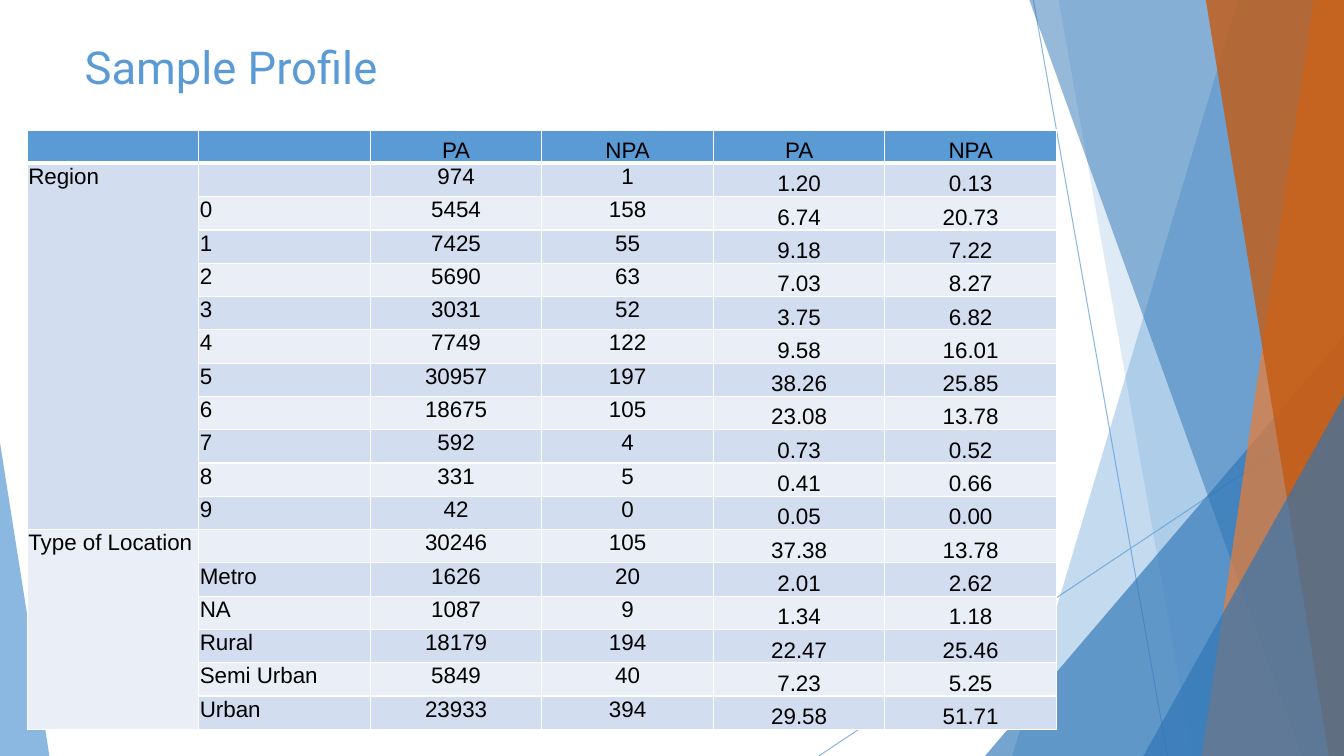
from lxml import etree
from pptx import Presentation, util as u
from pptx.dml.color import RGBColor
from pptx.enum import shapes, text
from pptx.oxml import ns

BLUE, DEEP, ORANGE, RUST = "5B9BD5", "2E75B6", "ED7D31", "C55A11"
WHITE, BLACK = "FFFFFF", "000000"
BANDS = ("D2DEEF", "EAEFF7")

HEADER = ("", "", "PA", "NPA", "PA", "NPA")
GROUPS = {
    "Region": (
        ("", "974", "1", "1.20", "0.13"),
        ("0", "5454", "158", "6.74", "20.73"),
        ("1", "7425", "55", "9.18", "7.22"),
        ("2", "5690", "63", "7.03", "8.27"),
        ("3", "3031", "52", "3.75", "6.82"),
        ("4", "7749", "122", "9.58", "16.01"),
        ("5", "30957", "197", "38.26", "25.85"),
        ("6", "18675", "105", "23.08", "13.78"),
        ("7", "592", "4", "0.73", "0.52"),
        ("8", "331", "5", "0.41", "0.66"),
        ("9", "42", "0", "0.05", "0.00"),
    ),
    "Type of Location": (
        ("", "30246", "105", "37.38", "13.78"),
        ("Metro", "1626", "20", "2.01", "2.62"),
        ("NA", "1087", "9", "1.34", "1.18"),
        ("Rural", "18179", "194", "22.47", "25.46"),
        ("Semi Urban", "5849", "40", "7.23", "5.25"),
        ("Urban", "23933", "394", "29.58", "51.71"),
    ),
}


def color(value):
    return RGBColor.from_string(value)


def share(box, x, y, w, h):
    left, top, width, height = box
    return (left + int(width * x / 100), top + int(height * y / 100),
            int(width * w / 100), int(height * h / 100))


def set_opacity(sp, percent):
    for clr in sp._element.xpath(".//a:srgbClr"):
        etree.SubElement(clr, ns.qn("a:alpha"), val=str(percent * 1000))


def paint(sp, fill, opacity):
    sp.shadow.inherit = False
    sp.fill.solid()
    sp.fill.fore_color.rgb = color(fill)
    sp.line.fill.background()
    set_opacity(sp, opacity)


def add_ray(s, box, x1, y1, x2, y2):
    start, end = share(box, x1, y1, 0, 0), share(box, x2, y2, 0, 0)
    ray = s.shapes.add_connector(shapes.MSO_CONNECTOR.STRAIGHT, *start[:2], *end[:2])
    ray.line.color.rgb = color(BLUE)
    ray.line.width = u.Pt(0.75)
    set_opacity(ray, 70)
    etree.SubElement(ray._element.spPr, ns.qn("a:effectLst"))


def add_blade(s, box, top_x, bottom_x, fill, opacity):
    corners = [share(box, x, y, 0, 0)[:2]
               for x, y in ((top_x, 0), (100, 0), (100, 100), (bottom_x, 100))]
    builder = s.shapes.build_freeform(*corners[0])
    builder.add_line_segments(corners[1:], close=True)
    paint(builder.convert_to_shape(), fill, opacity)


def add_wedge(s, box, area, peak, fill, opacity):
    sp = s.shapes.add_shape(shapes.MSO_SHAPE.ISOSCELES_TRIANGLE, *share(box, *area))
    sp.adjustments[0] = peak
    paint(sp, fill, opacity)


def add_facets(s, box):
    add_ray(s, box, 76.89, 0, 86.87, 100)
    add_ray(s, box, 100, 53.73, 60.92, 100)
    add_blade(s, box, 92.12, 75.32, BLUE, 36)
    add_blade(s, box, 78.77, 88.75, BLUE, 20)
    add_wedge(s, box, (73.29, 44.4, 26.71, 55.6), 1, DEEP, 66)
    add_blade(s, box, 76.59, 96.85, DEEP, 50)
    add_blade(s, box, 97.75, 89.42, ORANGE, 70)
    add_blade(s, box, 89.72, 98.87, RUST, 80)
    add_wedge(s, box, (85.07, 52.4, 14.93, 47.6), 1, DEEP, 66)
    add_wedge(s, box, (0, 58.53, 3.68, 41.47), 0, BLUE, 70)


def add_run(p, words, size, font, ink):
    r = p.add_run()
    r.text = words
    r.font.size, r.font.name = u.Pt(size), font
    r.font.color.rgb = color(ink)


def add_title(s, box, words):
    title = s.shapes.title
    title.left, title.top, title.width, title.height = box
    tf = title.text_frame
    tf.word_wrap = True
    tf.auto_size = text.MSO_AUTO_SIZE.NONE
    tf.vertical_anchor = text.MSO_ANCHOR.MIDDLE
    tf.paragraphs[0].alignment = text.PP_ALIGN.LEFT
    add_run(tf.paragraphs[0], words, 32.4, "Roboto", BLUE)


def set_borders(cell, widths):
    tc_pr = cell._tc.get_or_add_tcPr()
    for side, width in widths.items():
        ln = etree.SubElement(tc_pr, ns.qn(f"a:ln{side}"), w=str(u.Pt(width)))
        fill = etree.SubElement(ln, ns.qn("a:solidFill"))
        etree.SubElement(fill, ns.qn("a:srgbClr"), val=WHITE)


def format_cell(cell, row, col, words, fill):
    set_borders(cell, {"L": 1, "R": 1, "T": 3 if row == 1 else 1, "B": 3 if row == 0 else 1})
    cell.fill.solid()
    cell.fill.fore_color.rgb = color(fill)
    cell.margin_left = cell.margin_right = cell.margin_top = u.Inches(0.01)
    cell.margin_bottom = 0
    low = row == 0 or col > 3
    cell.vertical_anchor = text.MSO_ANCHOR.BOTTOM if low else text.MSO_ANCHOR.TOP
    p = cell.text_frame.paragraphs[0]
    p.alignment = text.PP_ALIGN.CENTER if col > 1 else text.PP_ALIGN.LEFT
    if words:
        add_run(p, words, 16, "Arial", BLACK)


def add_profile_table(s, box):
    rows = [HEADER]
    spans = []
    for name, members in GROUPS.items():
        spans.append((len(rows), len(rows) + len(members) - 1))
        rows += [(name if i == 0 else "", *member) for i, member in enumerate(members)]
    table = s.shapes.add_table(len(rows), len(HEADER), *box).table
    for column in table.columns:
        column.width = box[2] // len(HEADER)
    for i, values in enumerate(rows):
        table.rows[i].height = box[3] // len(rows)
        fill = BANDS[(i - 1) % 2] if i else BLUE
        for j, words in enumerate(values):
            format_cell(table.cell(i, j), i, j, words, fill)
    for first, last in spans:
        table.cell(first, 0).merge(table.cell(last, 0))


def main():
    prs = Presentation()
    prs.slide_width, prs.slide_height = u.Inches(13.33), u.Inches(7.5)
    page = (0, 0, prs.slide_width, prs.slide_height)
    s = prs.slides.add_slide(prs.slide_layouts[5])
    add_facets(s, page)
    add_title(s, share(page, 5.55, 4.4, 70.52, 8.8), "Sample Profile")
    add_profile_table(s, share(page, 2.03, 17.2, 76.59, 79.33))
    prs.save("out.pptx")


if __name__ == "__main__":
    main()
